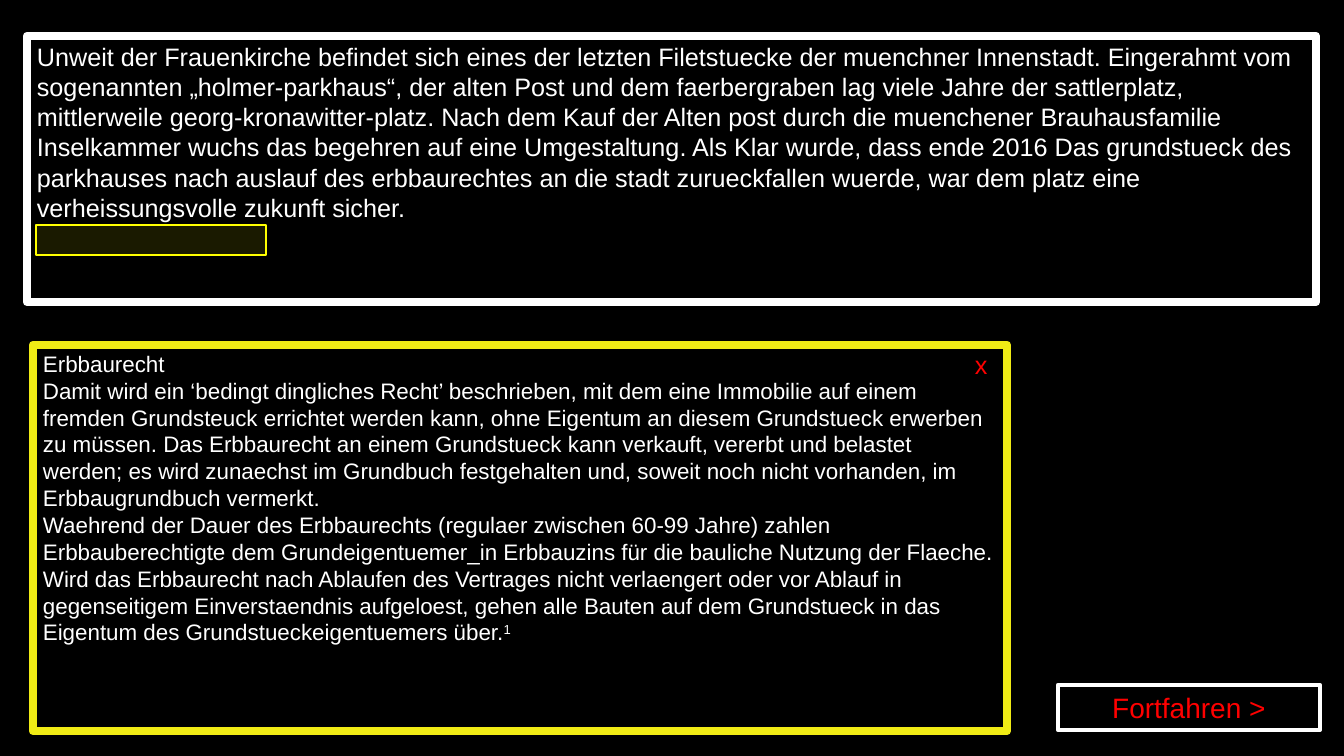
from lxml.etree import SubElement as Sub
from pptx import Presentation
from pptx.dml.color import RGBColor as Rgb
from pptx.enum.shapes import MSO_SHAPE as Kind
from pptx.enum.text import MSO_ANCHOR as Anchor, PP_ALIGN as Align
from pptx.oxml.ns import qn
from pptx.util import Pt

SCALE = 914400 / 100.8
WIDE, HIGH = 1344, 756
FONT = "Arial"
HUES = {"black": "000000", "white": "FFFFFF", "red": "FF0000",
        "gold": "F0EB15", "yellow": "FFFF00"}

INTRO = [
    "Unweit der Frauenkirche befindet sich eines der letzten Filetstuecke der "
    "muenchner Innenstadt. Eingerahmt vom sogenannten „holmer-parkhaus“, der "
    "alten Post und dem faerbergraben lag viele Jahre der sattlerplatz, "
    "mittlerweile georg-kronawitter-platz. Nach dem Kauf der Alten post durch "
    "die muenchener Brauhausfamilie Inselkammer wuchs das begehren auf eine "
    "Umgestaltung. Als Klar wurde, dass ende 2016 Das grundstueck des "
    "parkhauses nach auslauf des erbbaurechtes an die stadt zurueckfallen "
    "wuerde, war dem platz eine verheissungsvolle zukunft sicher.",
]
TERM = [
    "Erbbaurecht",
    "Damit wird ein ‘bedingt dingliches Recht’ beschrieben, mit dem eine "
    "Immobilie auf einem fremden Grundsteuck errichtet werden kann, ohne "
    "Eigentum an diesem Grundstueck erwerben zu müssen. Das Erbbaurecht an "
    "einem Grundstueck kann verkauft, vererbt und belastet werden; es wird "
    "zunaechst im Grundbuch festgehalten und, soweit noch nicht vorhanden, im "
    "Erbbaugrundbuch vermerkt.",
    "Waehrend der Dauer des Erbbaurechts (regulaer zwischen 60-99 Jahre) "
    "zahlen Erbbauberechtigte dem Grundeigentuemer_in Erbbauzins für die "
    "bauliche Nutzung der Flaeche. Wird das Erbbaurecht nach Ablaufen des "
    "Vertrages nicht verlaengert oder vor Ablauf in gegenseitigem "
    "Einverstaendnis aufgeloest, gehen alle Bauten auf dem Grundstueck in das "
    "Eigentum des Grundstueckeigentuemers über.",
]
NOTE = "1"
NEXT = ["Fortfahren >"]
CLOSE = ["x"]


def tint(name):
    return Rgb.from_string(HUES[name])


def place(box):
    return [round(n * SCALE) for n in box]


def write(shape, lines, size, hue, align=Align.LEFT, anchor=Anchor.TOP, note=""):
    frame = shape.text_frame
    frame.text = "\n".join(lines)
    frame.word_wrap = True
    frame.vertical_anchor = anchor
    if note:
        mark = frame.paragraphs[-1].add_run()
        mark.text = note
        mark._r.get_or_add_rPr().set("baseline", "30000")
    for para in frame.paragraphs:
        para.alignment = align
        for run in para.runs:
            run.font.name = FONT
            run.font.size = Pt(size)
            run.font.color.rgb = tint(hue)


def panel(slide, box, fill, line, width):
    shape = slide.shapes.add_shape(Kind.RECTANGLE, *place(box))
    shape.shadow.inherit = False
    shape.fill.solid()
    shape.fill.fore_color.rgb = tint(fill)
    shape.line.color.rgb = tint(line)
    shape.line.width = Pt(width)
    return shape


def main():
    deck = Presentation()
    deck.slide_width, deck.slide_height = place((WIDE, HIGH))
    slide = deck.slides.add_slide(deck.slide_layouts[6])
    slide.background.fill.solid()
    slide.background.fill.fore_color.rgb = tint("black")

    intro = panel(slide, (27, 36, 1289, 266), "black", "white", 6)
    write(intro, INTRO, 18, "white")
    button = panel(slide, (1058, 685, 262, 45), "black", "white", 3)
    write(button, NEXT, 20, "red", Align.CENTER, Anchor.MIDDLE)
    term = panel(slide, (33, 345, 974, 386), "black", "gold", 6)
    write(term, TERM, 16, "white", note=NOTE)
    close = slide.shapes.add_textbox(*place((965, 344, 42, 40)))
    write(close, CLOSE, 18, "red")

    glow = panel(slide, (36, 225, 230, 30), "yellow", "yellow", 1.5)
    color = glow.fill._xPr.find(qn("a:solidFill"))[0]
    Sub(color, qn("a:alpha")).set("val", "10000")

    deck.save("out.pptx")


if __name__ == "__main__":
    main()
